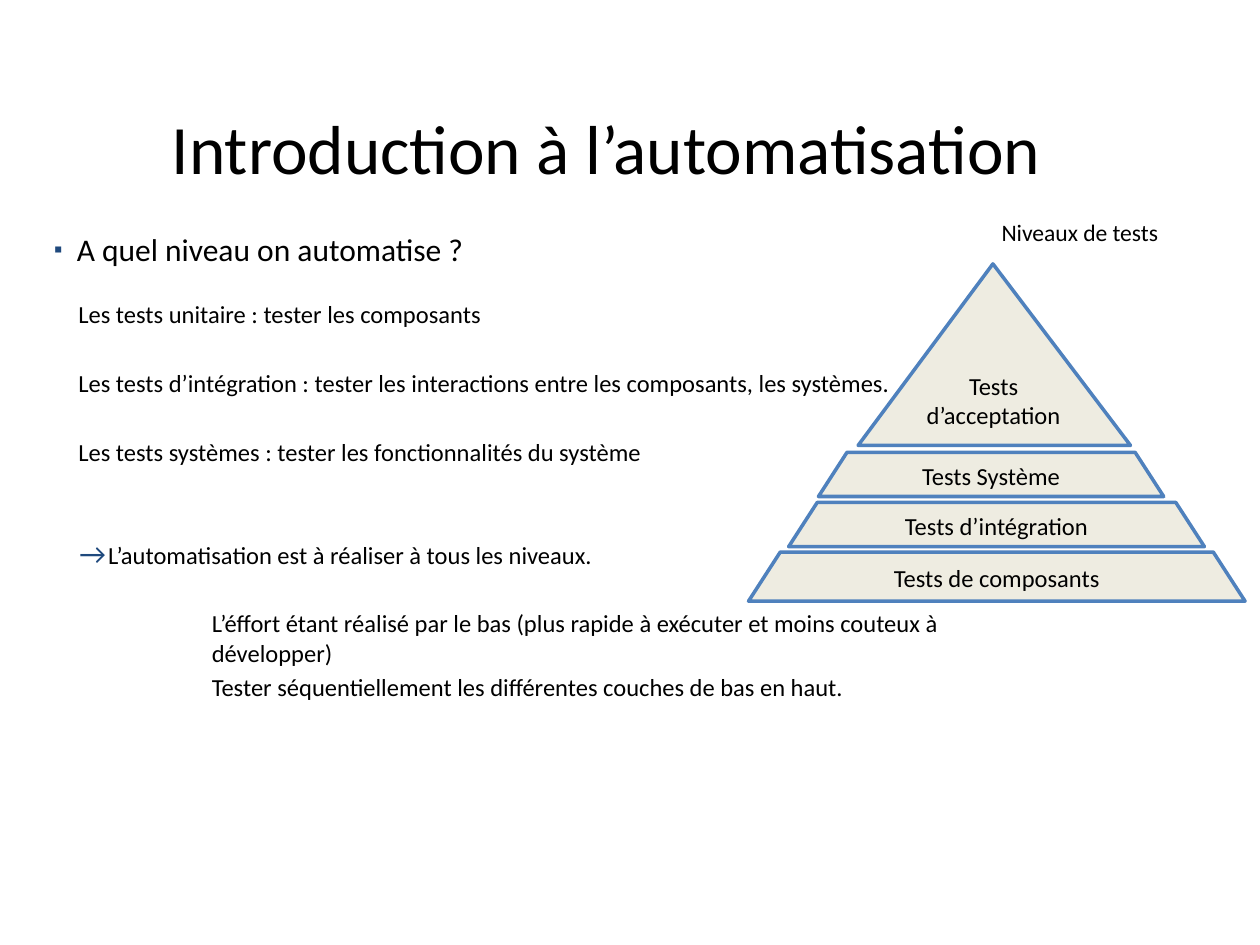
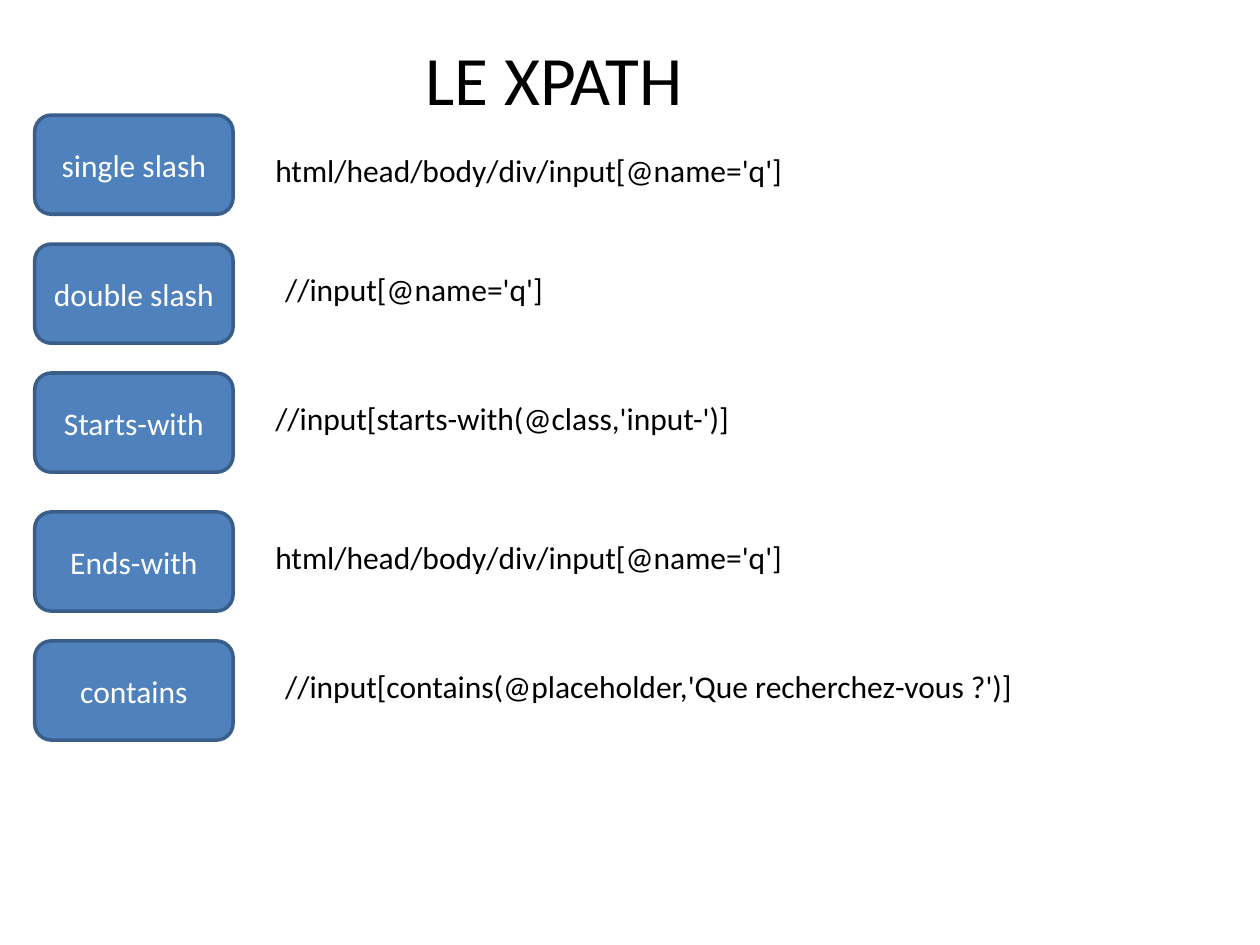
from lxml import etree
from pptx import Presentation
from pptx.dml.color import RGBColor
from pptx.enum.shapes import MSO_SHAPE
from pptx.enum.text import MSO_ANCHOR, MSO_AUTO_SIZE, PP_ALIGN
from pptx.oxml.ns import qn
from pptx.util import Cm, Pt

TRAPEZOID = MSO_SHAPE.TRAPEZOID
TRIANGLE = MSO_SHAPE.ISOSCELES_TRIANGLE
ROUNDED = MSO_SHAPE.ROUNDED_RECTANGLE
TOP, MIDDLE = MSO_ANCHOR.TOP, MSO_ANCHOR.MIDDLE
LEFT, CENTER = PP_ALIGN.LEFT, PP_ALIGN.CENTER
GROW = MSO_AUTO_SIZE.SHAPE_TO_FIT_TEXT

FONT = "Calibri"
COLORS = {
    "text": "000000",
    "white": "FFFFFF",
    "bullet": "1F497D",
    "layer": "EEECE1",
    "blue": "4F81BD",
    "dark_blue": "395E89",
}
BULLET_SIZES = {"▪": 75, "→": 120}
INSETS = (0.25, 0.13)
NO_INSETS = (0, 0)


def rgb(name):
    return RGBColor.from_string(COLORS[name])


def set_frame(sp, insets, anchor):
    tf = sp.text_frame
    tf.word_wrap = True
    tf.vertical_anchor = anchor
    tf.margin_left = tf.margin_right = Cm(insets[0])
    tf.margin_top = tf.margin_bottom = Cm(insets[1])
    return tf


def add_run(p, text, size, color="text"):
    r = p.add_run()
    r.text = text
    r.font.name = FONT
    r.font.size = Pt(size)
    r.font.color.rgb = rgb(color)


def add_text(slide, box, text, size, align=LEFT, insets=INSETS, grow=True):
    sp = slide.shapes.add_textbox(*map(Cm, box))
    tf = set_frame(sp, insets, TOP)
    if grow:
        tf.auto_size = GROW
    p = tf.paragraphs[0]
    p.alignment = align
    add_run(p, text, size)


def add_title(slide, box, text):
    add_text(slide, box, text, 39.6, CENTER, NO_INSETS, grow=False)


def add_block(slide, kind, box, adj, text, size, fill, line, color, insets=INSETS):
    sp = slide.shapes.add_shape(kind, *map(Cm, box))
    sp.adjustments[0] = adj
    sp.shadow.inherit = False
    sp.fill.solid()
    sp.fill.fore_color.rgb = rgb(fill)
    sp.line.color.rgb = rgb(line)
    sp.line.width = Pt(2)
    p = set_frame(sp, insets, MIDDLE).paragraphs[0]
    p.alignment = CENTER
    add_run(p, text, size, color)


def set_bullet(p, char):
    pPr = p._p.get_or_add_pPr()
    clr = etree.SubElement(pPr, qn("a:buClr"))
    etree.SubElement(clr, qn("a:srgbClr")).set("val", COLORS["bullet"])
    etree.SubElement(pPr, qn("a:buSzPct")).set("val", str(BULLET_SIZES[char] * 1000))
    etree.SubElement(pPr, qn("a:buFont")).set("typeface", FONT)
    etree.SubElement(pPr, qn("a:buChar")).set("char", char)


def add_body(slide, box, items):
    tf = set_frame(slide.shapes.add_textbox(*map(Cm, box)), NO_INSETS, TOP)
    for i, (text, size, left, indent, before, spacing, char) in enumerate(items):
        p = tf.add_paragraph() if i else tf.paragraphs[0]
        p.line_spacing = spacing
        p.space_before = Pt(before)
        pPr = p._p.get_or_add_pPr()
        pPr.set("marL", str(Cm(left)))
        pPr.set("indent", str(Cm(indent)))
        if char:
            set_bullet(p, char)
        add_run(p, text, size)


def build_intro(slide):
    add_title(slide, (0.89, 2.13, 22.66, 1.8), "Introduction à l’automatisation")
    add_body(slide, (1.09, 4.72, 18.64, 9.25), [
        ("A quel niveau on automatise ?", 18, 0.46, -0.46, 0, 0.92, "▪"),
        ("Les tests unitaire : tester les composants", 14, 0.49, 0, 17.5, 1.0, None),
        ("Les tests d’intégration : tester les interactions entre les composants, "
         "les systèmes.", 14, 0.49, 0, 22.4, 1.0, None),
        ("Les tests systèmes : tester les fonctionnalités du système",
         14, 0.49, 0, 22.4, 1.0, None),
        ("L’automatisation est à réaliser à tous les niveaux.",
         14, 1.09, -0.58, 42.2, 1.0, "→"),
        ("L’éffort étant réalisé par le bas (plus rapide à exécuter et moins "
         "couteux à développer)", 14, 3.18, 0, 22.2, 1.0, None),
        ("Tester séquentiellement les différentes couches de bas en haut.",
         14, 3.18, 0, 2.8, 1.0, None),
    ])
    add_text(slide, (19.94, 4.27, 4.45, 0.84), "Niveaux de tests", 13.5)

    style = (14, "layer", "blue", "text")
    add_block(slide, TRIANGLE, (17.3, 5.32, 5.49, 3.66), 0.495,
              "Tests d’acceptation", *style, insets=NO_INSETS)
    layers = [
        ("Tests Système", (16.5, 9.12, 6.96, 0.89)),
        ("Tests d’intégration", (15.9, 10.13, 8.38, 0.89)),
        ("Tests de composants", (15.09, 11.13, 10.01, 0.99)),
    ]
    for text, box in layers:
        add_block(slide, TRAPEZOID, box, 0.647, text, *style)


def build_xpath(slide):
    add_title(slide, (0, 0.74, 22.66, 1.12), "LE XPATH ")
    rows = [
        ("single slash", 2.32, "html/head/body/div/input[@name='q']", 5.3, 2.92, 12.4),
        ("double slash", 4.92, "//input[@name='q']", 5.5, 5.32, 12.4),
        ("Starts-with", 7.52, "//input[starts-with(@class,'input-')]", 5.3, 7.92, 12.4),
        ("Ends-with", 10.32, "html/head/body/div/input[@name='q']", 5.3, 10.72, 12.4),
        ("contains", 12.92, "//input[contains(@placeholder,'Que recherchez-vous ?')]",
         5.5, 13.32, 16.61),
    ]
    for label, top, example, left, example_top, width in rows:
        add_block(slide, ROUNDED, (0.7, top, 4, 2), 0.167, label,
                  18, "blue", "dark_blue", "white")
        add_text(slide, (left, example_top, width, 1.02), example, 18)


def main():
    prs = Presentation()
    prs.slide_width, prs.slide_height = Cm(25.4), Cm(19.05)
    blank = prs.slide_layouts[6]
    for build in (build_intro, build_xpath):
        build(prs.slides.add_slide(blank))
    prs.save("out.pptx")


if __name__ == "__main__":
    main()
